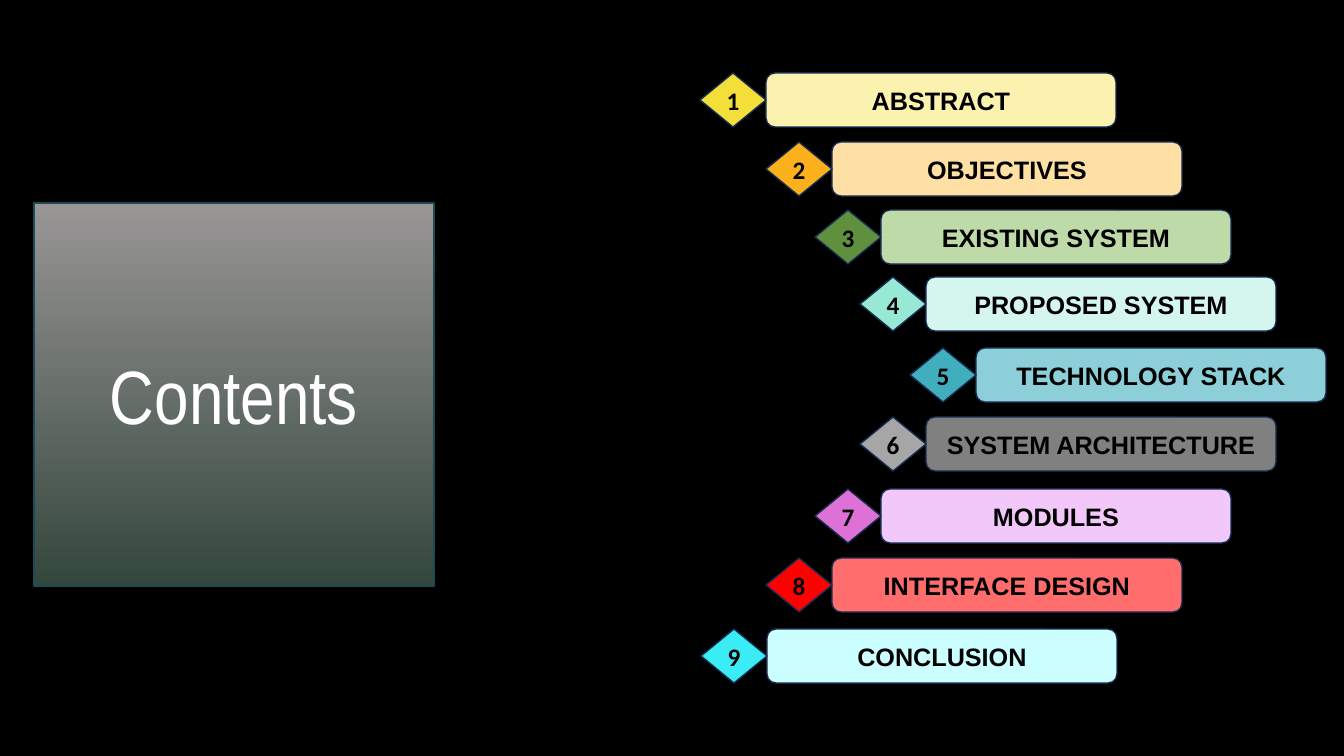
from pptx import Presentation
from pptx.dml.color import RGBColor
from pptx.enum.shapes import MSO_SHAPE
from pptx.enum.text import MSO_ANCHOR, MSO_AUTO_SIZE, PP_ALIGN
from pptx.oxml import parse_xml
from pptx.oxml.ns import nsdecls
from pptx.util import Emu, Pt

DIAMOND, BAR = MSO_SHAPE.DIAMOND, MSO_SHAPE.ROUNDED_RECTANGLE
CENTER, MIDDLE = PP_ALIGN.CENTER, MSO_ANCHOR.MIDDLE
NO_AUTOFIT = MSO_AUTO_SIZE.NONE
TITLE_ONLY = 5
EMU_PER_PX = 914400 / 100.8

COLORS = {
    "background": "000000",
    "text": "000000",
    "title": "FFFFFF",
    "outline": "172C51",
    "circle_line": "1C4C53",
    "circle_top": "999696",
    "circle_bottom": "34473D",
}

# Label, bar left, top, bar fill, diamond fill
ITEMS = [
    ("ABSTRACT", 766, 73, "FBF2B0", "F4DE3A"),
    ("OBJECTIVES", 832, 142, "FEE0A4", "FCB11C"),
    ("EXISTING SYSTEM", 881, 210, "BEDAA9", "608F3D"),
    ("PROPOSED SYSTEM", 926, 277, "D5F6EE", "97E9D5"),
    ("TECHNOLOGY STACK", 976, 348, "8DCFD8", "41AEBD"),
    ("SYSTEM ARCHITECTURE", 926, 417, "808080", "A6A6A6"),
    ("MODULES", 881, 489, "F2C7F9", "DD71D5"),
    ("INTERFACE DESIGN", 832, 558, "FF6D6D", "FF0000"),
    ("CONCLUSION", 767, 629, "CCFFFF", "3BECF5"),
]
BAR_W, DIAMOND_W, ROW_H = 350, 66, 54


def px(n):
    return Emu(round(n * EMU_PER_PX))


def rgb(value):
    return RGBColor.from_string(COLORS.get(value, value))


class Deck:
    def __init__(self, width, height):
        self.prs = Presentation()
        self.prs.slide_width, self.prs.slide_height = px(width), px(height)
        self.slide = self.prs.slides.add_slide(self.prs.slide_layouts[TITLE_ONLY])
        fill = self.slide.background.fill
        fill.solid()
        fill.fore_color.rgb = rgb("background")

    def outline(self, sp, color):
        sp.line.color.rgb = rgb(color)
        sp.line.width = Pt(1)

    def text(self, sp, text, size, font, color, bold):
        tf = sp.text_frame
        tf.auto_size = NO_AUTOFIT
        tf.word_wrap = False
        tf.vertical_anchor = MIDDLE
        tf.margin_left = tf.margin_right = tf.margin_top = tf.margin_bottom = 0
        p = tf.paragraphs[0]
        p.alignment = CENTER
        r = p.add_run()
        r.text = text
        r.font.size, r.font.name, r.font.bold = Pt(size), font, bold
        r.font.color.rgb = rgb(color)

    def circle_title(self, text, x, y, w, h):
        sp = self.slide.shapes.title
        sp.left, sp.top, sp.width, sp.height = px(x), px(y), px(w), px(h)
        # A placeholder takes its ellipse outline through XML
        sp.element.spPr.append(parse_xml(
            f'<a:prstGeom {nsdecls("a")} prst="ellipse"><a:avLst/></a:prstGeom>'))
        sp.fill.gradient()
        sp.fill.gradient_angle = 270
        for stop, color in zip(sp.fill.gradient_stops, ("circle_top", "circle_bottom")):
            stop.color.rgb = rgb(color)
        self.outline(sp, "circle_line")
        self.text(sp, text, 54, "Arial Narrow", "title", False)

    def label(self, kind, text, font, fill, x, y, w, h):
        sp = self.slide.shapes.add_shape(kind, px(x), px(y), px(w), px(h))
        sp.shadow.inherit = False
        sp.fill.solid()
        sp.fill.fore_color.rgb = rgb(fill)
        self.outline(sp, "outline")
        self.text(sp, text, 18, font, "text", True)


def main():
    deck = Deck(1344, 756)

    # Title circle
    deck.circle_title("Contents", 34, 203, 400, 383)

    # Numbered contents list
    for number, (name, x, y, bar_fill, diamond_fill) in enumerate(ITEMS, 1):
        deck.label(BAR, name, "Arial", bar_fill, x, y, BAR_W, ROW_H)
        deck.label(DIAMOND, str(number), "Calibri", diamond_fill,
                   x - DIAMOND_W, y, DIAMOND_W, ROW_H)

    deck.prs.save("out.pptx")


if __name__ == "__main__":
    main()
